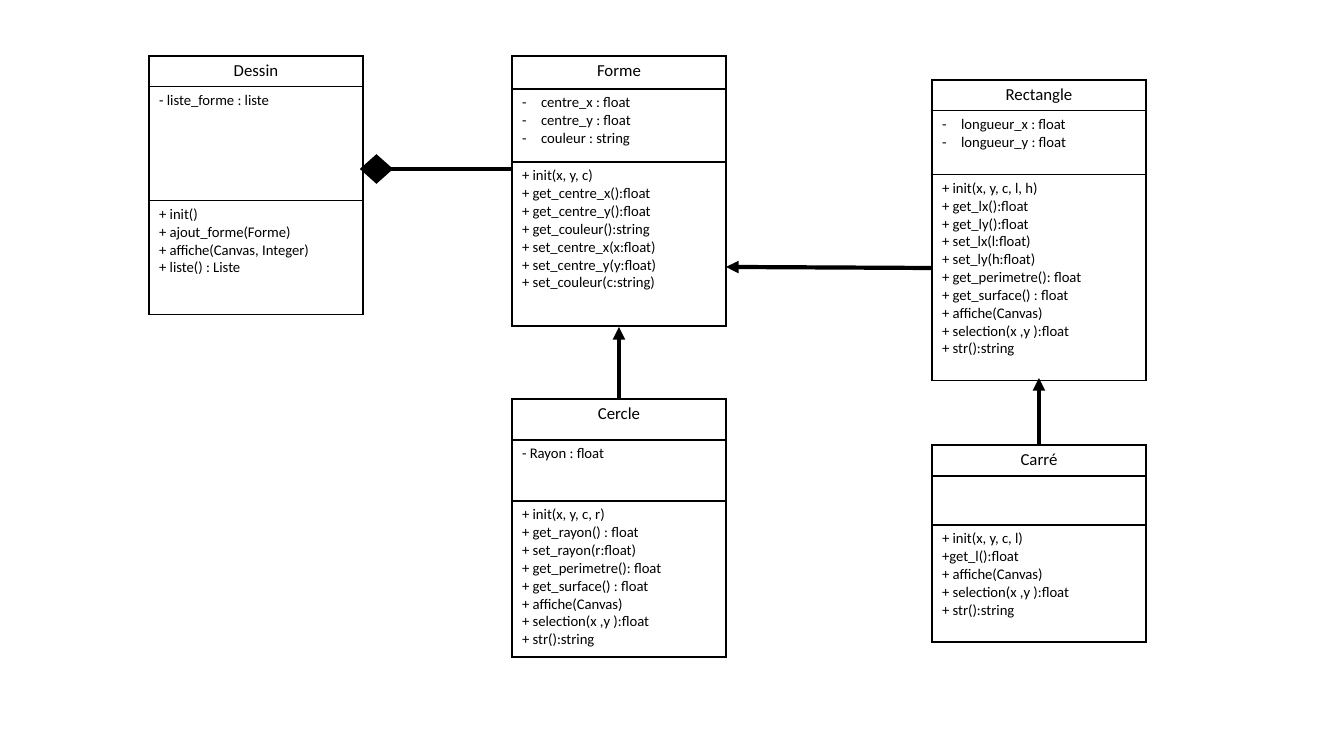
"""Build a UML class diagram of drawing shapes on one slide."""
from dataclasses import dataclass

from lxml.etree import SubElement
from pptx import Presentation
from pptx.dml.color import RGBColor
from pptx.enum.shapes import MSO_CONNECTOR, MSO_SHAPE
from pptx.enum.text import PP_ALIGN
from pptx.oxml import parse_xml
from pptx.oxml.ns import nsdecls, qn
from pptx.util import Pt


@dataclass(frozen=True)
class Theme:
    font: str = "Calibri"
    ink: str = "000000"
    title: float = 12
    body: float = 10.5
    rule: float = 1
    link: float = 3


THEME = Theme()
INK = RGBColor.from_string(THEME.ink)
SCALE = 914400 / 100.8
WIDTH = 214
INDENT = 19

CLASSES = {
    "Dessin": dict(
        place=(149, 56), rows=(30, 114, 114), bullet=False,
        fields=["- liste_forme : liste"],
        methods=["+ init()", "+ ajout_forme(Forme)",
                 "+ affiche(Canvas, Integer)", "+ liste() : Liste"]),
    "Forme": dict(
        place=(512, 56), rows=(33, 73, 164), bullet=True,
        fields=["centre_x : float", "centre_y : float", "couleur : string"],
        methods=["+ init(x, y, c)", "+ get_centre_x():float",
                 "+ get_centre_y():float", "+ get_couleur():string",
                 "+ set_centre_x(x:float)", "+ set_centre_y(y:float)",
                 "+ set_couleur(c:string)"]),
    "Rectangle": dict(
        place=(932, 80), rows=(30, 64, 206), bullet=True,
        fields=["longueur_x : float", "longueur_y : float"],
        methods=["+ init(x, y, c, l, h)", "+ get_lx():float",
                 "+ get_ly():float", "+ set_lx(l:float)",
                 "+ set_ly(h:float)", "+ get_perimetre(): float",
                 "+ get_surface() : float", "+ affiche(Canvas)",
                 "+ selection(x ,y ):float", "+ str():string"]),
    "Cercle": dict(
        place=(512, 399), rows=(41, 61, 156), bullet=False,
        fields=["- Rayon : float"],
        methods=["+ init(x, y, c, r)", "+ get_rayon() : float",
                 "+ set_rayon(r:float)", "+ get_perimetre(): float",
                 "+ get_surface() : float", "+ affiche(Canvas)",
                 "+ selection(x ,y ):float", "+ str():string"]),
    "Carré": dict(
        place=(932, 445), rows=(31, 49, 117), bullet=False,
        fields=[],
        methods=["+ init(x, y, c, l)", "+get_l():float",
                 "+ affiche(Canvas)", "+ selection(x ,y ):float",
                 "+ str():string"]),
}
SIDE_LINKS = [("Forme", "Dessin", 169, 169), ("Rectangle", "Forme", 268, 267)]
UP_LINKS = [("Cercle", 327), ("Carré", 378)]
DIAMOND = (363, 157, 27, 24)


def px(*sizes):
    return [round(size * SCALE) for size in sizes]


def border(cell):
    props = cell._tc.get_or_add_tcPr()
    for spot, side in enumerate(("lnL", "lnR", "lnT", "lnB")):
        props.insert(spot, parse_xml(
            f'<a:{side} {nsdecls("a")} w="{Pt(THEME.rule)}"><a:solidFill>'
            f'<a:srgbClr val="{THEME.ink}"/></a:solidFill></a:{side}>'))


def add_bullet(para):
    props = para._p.get_or_add_pPr()
    gap, = px(INDENT)
    props.set("marL", str(gap))
    props.set("indent", str(-gap))
    SubElement(props, qn("a:buFont"), typeface=THEME.font)
    SubElement(props, qn("a:buChar"), char="-")


def write(cell, lines, size, align=PP_ALIGN.LEFT, bullet=False):
    cell.fill.background()
    border(cell)
    if not lines:
        return
    cell.text_frame.text = "\n".join(lines)
    for para in cell.text_frame.paragraphs:
        para.alignment = align
        for run in para.runs:
            run.font.name, run.font.size = THEME.font, Pt(size)
            run.font.bold = False
            run.font.color.rgb = INK
        if bullet:
            add_bullet(para)


def add_class(slide, name, data):
    rows = data["rows"]
    table = slide.shapes.add_table(
        len(rows), 1, *px(*data["place"], WIDTH, sum(rows))).table
    table.first_row = table.horz_banding = False
    for row, size in zip(table.rows, rows):
        row.height, = px(size)
    write(table.cell(0, 0), [name], THEME.title, PP_ALIGN.CENTER)
    write(table.cell(1, 0), data["fields"], THEME.body, bullet=data["bullet"])
    write(table.cell(2, 0), data["methods"], THEME.body)


def add_link(slide, start, end):
    link = slide.shapes.add_connector(MSO_CONNECTOR.STRAIGHT, *px(*start, *end))
    link.line.color.rgb = INK
    link.line.width = Pt(THEME.link)
    SubElement(link.line._get_or_add_ln(), qn("a:tailEnd"), type="triangle")
    SubElement(link._element.spPr, qn("a:effectLst"))


def add_diamond(slide):
    mark = slide.shapes.add_shape(MSO_SHAPE.DIAMOND, *px(*DIAMOND))
    mark.shadow.inherit = False
    mark.fill.solid()
    mark.fill.fore_color.rgb = mark.line.color.rgb = INK
    mark.line.width = Pt(THEME.link)
    SubElement(mark.line._get_or_add_ln(), qn("a:miter"), lim="800000")


deck = Presentation()
deck.slide_width, deck.slide_height = px(1344, 756)
slide = deck.slides.add_slide(deck.slide_layouts[6])
for name, data in CLASSES.items():
    add_class(slide, name, data)
for child, parent, start, end in SIDE_LINKS:
    left = CLASSES[child]["place"][0]
    right = CLASSES[parent]["place"][0] + WIDTH
    add_link(slide, (left, start), (right, end))
for child, end in UP_LINKS:
    left, top = CLASSES[child]["place"]
    mid = left + WIDTH / 2
    add_link(slide, (mid, top), (mid, end))
add_diamond(slide)
deck.save("out.pptx")
